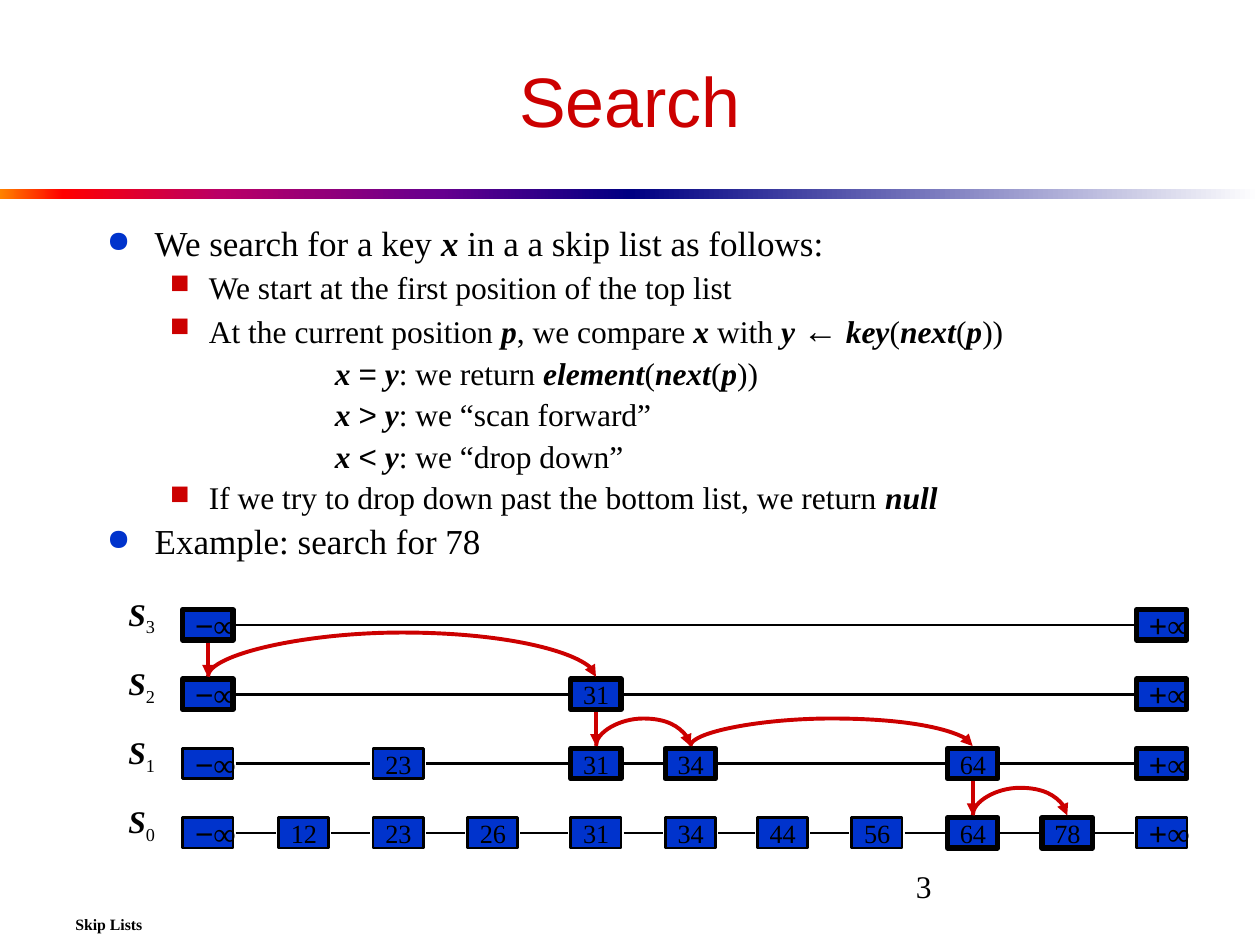
from lxml import etree
from pptx import Presentation
from pptx.dml.color import RGBColor
from pptx.enum.shapes import MSO_CONNECTOR, MSO_SHAPE
from pptx.enum.text import MSO_ANCHOR, PP_ALIGN
from pptx.oxml.ns import qn
from pptx.util import Inches, Pt

STRAIGHT, CURVE = MSO_CONNECTOR.STRAIGHT, MSO_CONNECTOR.CURVE
RECTANGLE = MSO_SHAPE.RECTANGLE
TOP, MIDDLE = MSO_ANCHOR.TOP, MSO_ANCHOR.MIDDLE
LEFT, CENTER = PP_ALIGN.LEFT, PP_ALIGN.CENTER

SERIF, SANS = "Times New Roman", "Arial"
BLACK, RED, BLUE = "000000", "CC0000", "0033CC"
KEY = {"bold": True, "italic": True}
SYMBOL = {"font": SANS}


def color(value):
    return RGBColor.from_string(value)


def add_text(para, text, font=SERIF, size=18, ink=BLACK, bold=False, italic=False, baseline=0):
    span = para.add_run()
    span.text = text
    span.font.name, span.font.size = font, Pt(size)
    span.font.bold, span.font.italic = bold, italic
    span.font.color.rgb = color(ink)
    if baseline:
        span.font._element.set("baseline", str(baseline * 1000))


def add_spans(para, spans, **base):
    """Each span is plain text or a pair of text and its own format."""
    for span in spans:
        text, own = (span, {}) if isinstance(span, str) else span
        add_text(para, text, **{**base, **own})


def set_frame(shape, anchor=TOP, wrap=False, align=LEFT):
    frame = shape.text_frame
    frame.word_wrap, frame.vertical_anchor = wrap, anchor
    frame.paragraphs[0].alignment = align
    return frame


def add_label(page, box, spans, anchor=TOP, wrap=False, **base):
    shape = page.shapes.add_textbox(*map(Inches, box))
    add_spans(set_frame(shape, anchor, wrap).paragraphs[0], spans, **base)


def add_rect(page, box):
    shape = page.shapes.add_shape(RECTANGLE, *map(Inches, box))
    shape.shadow.inherit = False
    return shape


def style_line(line, ink, width, arrow=False):
    line.line.color.rgb, line.line.width = color(ink), Pt(width)
    if arrow:
        etree.SubElement(line.line._get_or_add_ln(), qn("a:tailEnd"), type="triangle")
    etree.SubElement(line._element.spPr, qn("a:effectLst"))


def add_line(page, x1, y1, x2, y2, ink=BLACK, width=1.5, arrow=False):
    line = page.shapes.add_connector(STRAIGHT, *map(Inches, (x1, y1, x2, y2)))
    style_line(line, ink, width, arrow)


def add_arch(page, x1, x2, y, lift):
    """Arrow from x1 over to x2: a curved connector turned by a quarter."""
    depth, reach = Pt(0.12), Inches(x2 - x1)
    left = Inches((x1 + x2) / 2) - depth // 2
    top = Inches(y) + depth // 2 - reach // 2
    arch = page.shapes.add_connector(CURVE, left, top + reach, left + depth, top)
    properties = arch._element.spPr
    properties.find(qn("a:xfrm")).set("rot", "5400000")
    adjust = properties.find(qn("a:prstGeom")).find(qn("a:avLst"))
    ratio = -round(Inches(lift) / depth * 100000)
    etree.SubElement(adjust, qn("a:gd"), name="adj1", fmla=f"val {ratio}")
    style_line(arch, RED, 2.25, arrow=True)


# Title and the colour band under it
def add_heading(page, box, text):
    title = page.shapes.title
    title.left, title.top, title.width, title.height = map(Inches, box)
    frame = set_frame(title, MIDDLE, True, CENTER)
    add_text(frame.paragraphs[0], text, font=SANS, size=40, ink=RED)


def add_gradient(page, box, stops):
    band = add_rect(page, box)
    band.line.fill.background()
    band.fill.gradient()
    band.fill.gradient_angle = 0
    stop_list = band._element.spPr.find(qn("a:gradFill")).find(qn("a:gsLst"))
    for old in list(stop_list):
        stop_list.remove(old)
    for place, ink in stops:
        stop = etree.SubElement(stop_list, qn("a:gs"), pos=str(place * 1000))
        etree.SubElement(stop, qn("a:srgbClr"), val=ink)


def add_band(page, left, top, width, height):
    half = width / 2
    add_gradient(page, (left, top, half, height),
                 [(0, "FF8200"), (10, "FF0000"), (35, "BA0066"), (70, "66008F"), (100, "000082")])
    add_gradient(page, (left + half, top, half, height), [(0, "000082"), (100, "FFFFFF")])


# Bulleted body: level -> size, margin, indent, space before, bullet, bullet colour
LEVELS = {
    "point": (20, 0.38, -0.38, 4.6, "●", BLUE),
    "detail": (18, 0.81, -0.31, 4.2, "■", RED),
    "case": (18, 1.81, 0, 4.2, None, None),
}
NEXT = [("(", {}), ("next", KEY), "(", ("p", KEY), "))"]


def case(sign, *rest):
    return "case", [("x ", KEY), (sign, SYMBOL), (" y", KEY), *rest]


BODY = [
    ("point", ["We search for a key ", ("x", KEY), " in a a skip list as follows:"]),
    ("detail", ["We start at the first position of the top list"]),
    ("detail", ["At the current position ", ("p", KEY), ", we compare ", ("x", KEY), " with ",
                ("y ", KEY), ("←", {"font": SANS, "size": 20}), (" key", KEY), *NEXT]),
    case("=", ": we return ", ("element", KEY), *NEXT),
    case(">", ": we “scan forward”"),
    case("<", ": we “drop down”"),
    ("detail", ["If we try to drop down past the bottom list, we return ", ("null", KEY)]),
    ("point", ["Example: search for 78"]),
]


def add_body(page, box):
    frame = set_frame(page.shapes.add_textbox(*map(Inches, box)), wrap=True)
    for number, (level, spans) in enumerate(BODY):
        para = frame.add_paragraph() if number else frame.paragraphs[0]
        size, margin, indent, before, bullet, ink = LEVELS[level]
        para.line_spacing, para.space_before = 0.9, Pt(before)
        layout = para._p.get_or_add_pPr()
        layout.set("marL", str(Inches(margin)))
        layout.set("indent", str(Inches(indent)))
        if bullet:
            tint = etree.SubElement(layout, qn("a:buClr"))
            etree.SubElement(tint, qn("a:srgbClr"), val=ink)
            etree.SubElement(layout, qn("a:buSzPct"), val="85000")
            etree.SubElement(layout, qn("a:buChar"), char=bullet)
        add_spans(para, spans, size=size)


# Skip list: centre of each key's column, measured from the diagram's left edge
COLUMNS = {"−∞": 0.73, "12": 1.49, "23": 2.24, "26": 2.99, "31": 3.81, "34": 4.56,
           "44": 5.29, "56": 6.04, "64": 6.8, "78": 7.55, "+∞": 8.3}
# Level number, keys, keys on the search path
LISTS = [
    (3, ["−∞", "+∞"], {"−∞", "+∞"}),
    (2, ["−∞", "31", "+∞"], {"−∞", "31", "+∞"}),
    (1, ["−∞", "23", "31", "34", "64", "+∞"], {"31", "34", "64", "+∞"}),
    (0, list(COLUMNS), {"64", "78"}),
]
DROPS = [(0, "−∞"), (1, "31"), (2, "64")]
SCANS = [(1, "−∞", "31", 0.37), (2, "31", "34", 0.23), (2, "34", "64", 0.23), (3, "64", "78", 0.23)]
NODE_WIDTH, NODE_HEIGHT, PITCH, GAP = 0.4, 0.24, 0.55, 0.02


def add_node(page, box, key, visited):
    node = add_rect(page, box)
    node.fill.solid()
    node.fill.fore_color.rgb = color(BLUE)
    node.line.color.rgb, node.line.width = color(BLACK), Pt(3 if visited else 1.5)
    para = set_frame(node, MIDDLE).paragraphs[0]
    if key.endswith("∞"):
        add_spans(para, [(key[0], SYMBOL), key[1]])
    else:
        add_text(para, key, size=15)


def add_skip_list(page, left, top):
    center = {key: left + offset for key, offset in COLUMNS.items()}
    row_top = [top + 0.17 + PITCH * row for row in range(len(LISTS))]
    half = NODE_WIDTH / 2
    for y, (level, keys, visited) in zip(row_top, LISTS):
        add_label(page, (left, y - 0.17, 0.5, 0.5), [("S", KEY), (str(level), {"baseline": -25})])
        for first, second in zip(keys, keys[1:]):
            middle = y + NODE_HEIGHT / 2
            add_line(page, center[first] + half + GAP, middle, center[second] - half - GAP, middle)
        for key in keys:
            add_node(page, (center[key] - half, y, NODE_WIDTH, NODE_HEIGHT), key, key in visited)
    for row, key in DROPS:
        add_line(page, center[key], row_top[row] + NODE_HEIGHT + GAP,
                 center[key], row_top[row + 1] - GAP, RED, 2.25, arrow=True)
    for row, first, second, lift in SCANS:
        add_arch(page, center[first], center[second], row_top[row] - GAP, lift)


deck = Presentation()
deck.slide_width, deck.slide_height = Inches(10), Inches(7.5)
page = deck.slides.add_slide(deck.slide_layouts[5])
add_band(page, 0, 1.5, 10, 0.08)
add_label(page, (0.5, 7.17, 9, 0.33), ["Skip Lists"], MIDDLE, True, size=9, bold=True)
add_label(page, (7.17, 6.83, 2.08, 0.5), ["3"], wrap=True)
add_heading(page, (0.5, 0.25, 9, 1.08), "Search")
add_body(page, (0.75, 1.75, 8.83, 2.75))
add_skip_list(page, 0.92, 4.67)
deck.save("out.pptx")
